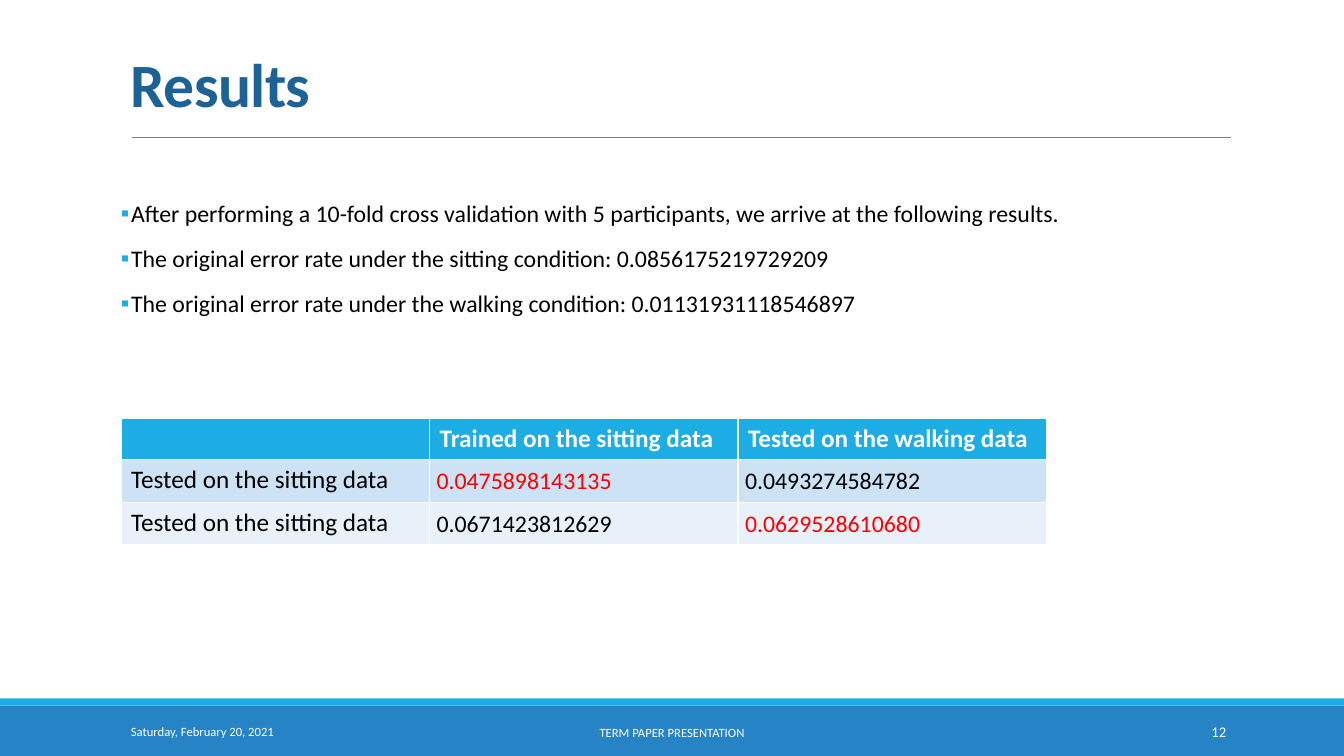
from pptx import Presentation
from pptx.util import Inches, Pt
from pptx.dml.color import RGBColor
from pptx.enum.shapes import MSO_SHAPE, MSO_CONNECTOR
from pptx.enum.text import MSO_ANCHOR, PP_ALIGN
from lxml import etree
from pptx.oxml.ns import qn

RECT = MSO_SHAPE.RECTANGLE
LINE = MSO_CONNECTOR.STRAIGHT
MID, LOW, TOP = MSO_ANCHOR.MIDDLE, MSO_ANCHOR.BOTTOM, MSO_ANCHOR.TOP
LEFT, CENTER, RIGHT = PP_ALIGN.LEFT, PP_ALIGN.CENTER, PP_ALIGN.RIGHT
WHITE, BLACK, RED, CYAN = "FFFFFF", "000000", "FF0000", "1CADE4"


def rgb(color):
    return RGBColor.from_string(color)


def write(para, text, size, color, bold=False):
    run = para.add_run()
    run.text = text
    look = {"name": "Calibri", "size": Pt(size), "bold": bold}
    for key, value in look.items():
        setattr(run.font, key, value)
    run.font.color.rgb = rgb(color)
    return run


deck = Presentation()
deck.slide_width, deck.slide_height = Inches(13.33), Inches(7.5)
slide = deck.slides.add_slide(deck.slide_layouts[6])
shapes = slide.shapes

for top, height, color in [(7, 0.5, "2683C6"), (6.93, 0.07, CYAN)]:
    bar = shapes.add_shape(RECT, 0, Inches(top), Inches(13.33), Inches(height))
    bar.shadow.inherit = False
    bar.fill.solid()
    bar.fill.fore_color.rgb = rgb(color)
    bar.line.fill.background()

rule = shapes.add_connector(LINE, Inches(1.31), Inches(1.36), Inches(12.21), Inches(1.36))
rule.line.color.rgb = rgb("808080")
rule.line.width = Pt(0.5)
etree.SubElement(rule._element.spPr, qn("a:effectLst"))

labels = [
    ("Results", (1.2, 0.31, 11.67, 0.93), 44, "1D6294", LEFT, LOW),
    ("Saturday, February 20, 2021", (1.2, 7.06, 2.7, 0.4), 9, WHITE, LEFT, MID),
    ("TERM PAPER PRESENTATION", (0, 7.07, 13.33, 0.4), 9, WHITE, CENTER, MID),
    ("12", (10.83, 7.06, 1.43, 0.4), 10.5, WHITE, RIGHT, MID),
]
for text, place, size, color, align, anchor in labels:
    frame = shapes.add_textbox(*map(Inches, place)).text_frame
    frame.word_wrap = True
    frame.vertical_anchor = anchor
    para = frame.paragraphs[0]
    para.alignment = align
    title = text == "Results"
    run = write(para, text, size, color, title)
    if title:
        para.line_spacing = 0.85
        run.font._element.set("spc", "-50")

points = [
    "After performing a 10-fold cross validation with 5 participants, we arrive at the following results.",
    "The original error rate under the sitting condition: 0.0856175219729209",
    "The original error rate under the walking condition: 0.01131931118546897",
]
frame = shapes.add_textbox(Inches(1.2), Inches(1.95), Inches(11.52), Inches(4.47)).text_frame
frame.word_wrap = True
frame.vertical_anchor = TOP
frame.margin_left = frame.margin_right = 0
for i, text in enumerate(points):
    para = frame.add_paragraph() if i else frame.paragraphs[0]
    gaps = {"line_spacing": 0.9, "space_before": Pt(12 if i else 0), "space_after": Pt(2)}
    for key, value in gaps.items():
        setattr(para, key, value)
    write(para, text, 17, BLACK)
    props = para._p.get_or_add_pPr()
    props.set("marL", str(Inches(0.1)))
    props.set("indent", str(Inches(-0.1)))
    tint = etree.SubElement(props, qn("a:buClr"))
    etree.SubElement(tint, qn("a:srgbClr"), val=CYAN)
    etree.SubElement(props, qn("a:buFont"), typeface="Calibri")
    etree.SubElement(props, qn("a:buChar"), char="▪")

rows = [
    ["", "Trained on the sitting data", "Tested on the walking data"],
    ["Tested on the sitting data", "0.0475898143135", "0.0493274584782"],
    ["Tested on the sitting data", "0.0671423812629", "0.0629528610680"],
]
fills = [CYAN, "CDE3F5", "E8F1FA"]
table = shapes.add_table(3, 3, Inches(1.2), Inches(4.15), Inches(9.18), Inches(1.23)).table
for r, row in enumerate(rows):
    for c, text in enumerate(row):
        cell = table.cell(r, c)
        cell.fill.solid()
        cell.fill.fore_color.rgb = rgb(fills[r])
        head, value = r == 0, r > 0 and c > 0
        if value:
            for side in ("left", "top", "right", "bottom"):
                setattr(cell, "margin_" + side, Inches(0.07))
        color = WHITE if head else RED if value and r == c else BLACK
        if text:
            write(cell.text_frame.paragraphs[0], text, 17 if value else 18, color, head)

deck.save("out.pptx")
